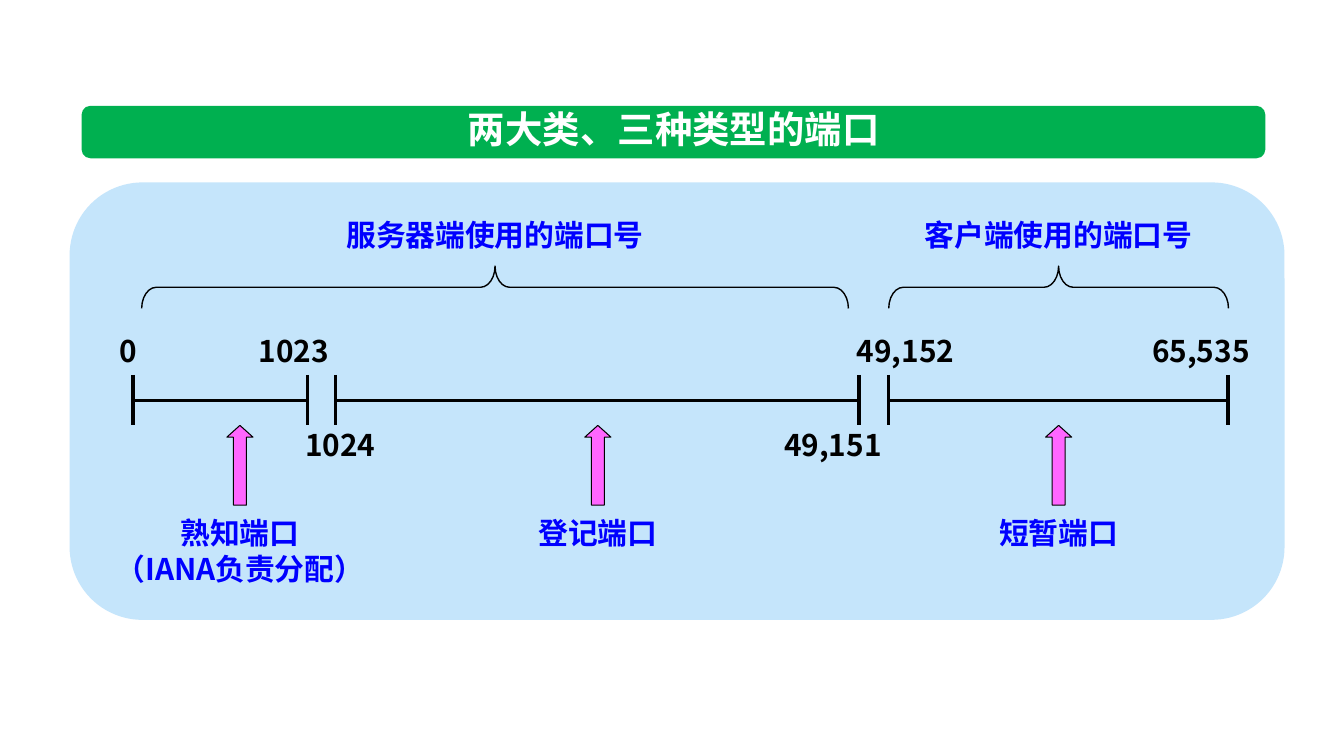
import pptx
import pptx.dml.color
import pptx.enum.shapes
import pptx.enum.text
import pptx.oxml.ns
import pptx.util
from lxml import etree

Inches, Pt = pptx.util.Inches, pptx.util.Pt
RGBColor = pptx.dml.color.RGBColor
SHAPE = pptx.enum.shapes.MSO_SHAPE
ALIGN = pptx.enum.text.PP_ALIGN
qn = pptx.oxml.ns.qn

BLACK = RGBColor(0x00, 0x00, 0x00)
WHITE = RGBColor(0xFF, 0xFF, 0xFF)
BLUE = RGBColor(0x00, 0x00, 0xFF)
GREEN = RGBColor(0x00, 0xB0, 0x50)
PALE_BLUE = RGBColor(0xC5, 0xE5, 0xFB)
PINK = RGBColor(0xFF, 0x66, 0xFF)


class Diagram:
    font = "Noto Sans CJK SC"
    size = 21.3

    def __init__(self, slide):
        self.shapes = slide.shapes

    def shape(self, kind, x, y, w, h, fill=None, line=None, adj=()):
        sp = self.shapes.add_shape(kind, Inches(x), Inches(y), Inches(w), Inches(h))
        sp.shadow.inherit = False
        for i, value in enumerate(adj):
            sp.adjustments[i] = value
        if fill is None:
            sp.fill.background()
        else:
            sp.fill.solid()
            sp.fill.fore_color.rgb = fill
        if line is None:
            sp.line.fill.background()
        else:
            sp.line.color.rgb = BLACK
            sp.line.width = Pt(line)
        return sp

    def text(self, lines, x, y, w, h=0.46, color=BLUE, size=size,
             align=ALIGN.CENTER, wrap=False):
        sp = self.shapes.add_textbox(Inches(x), Inches(y), Inches(w), Inches(h))
        tf = sp.text_frame
        tf.word_wrap = wrap
        tf.auto_size = pptx.enum.text.MSO_AUTO_SIZE.SHAPE_TO_FIT_TEXT
        tf.text = lines
        for p in tf.paragraphs:
            p.alignment = align
            p.font.size = Pt(size)
            p.font.bold = True
            p.font.color.rgb = color
            p.font.name = self.font
            # East Asian glyphs need their own typeface entry
            props = p._p.pPr.find(qn("a:defRPr"))
            etree.SubElement(props, qn("a:ea"), typeface=self.font)

    def line(self, x1, y1, x2, y2):
        cn = self.shapes.add_connector(
            pptx.enum.shapes.MSO_CONNECTOR.STRAIGHT,
            Inches(x1), Inches(y1), Inches(x2), Inches(y2))
        cn.line.color.rgb = BLACK
        cn.line.width = Pt(2.25)
        etree.SubElement(cn._element.spPr, qn("a:effectLst"))

    def port_range(self, x1, x2, y=3.97, tick=0.25):
        self.line(x1, y, x2, y)
        for x in (x1, x2):
            self.line(x, y - tick, x, y + tick)

    def brace(self, center, span, y=2.85, depth=0.42):
        sp = self.shape(SHAPE.RIGHT_BRACE, center - depth / 2, y - span / 2,
                        depth, span, line=1, adj=(0.345, 0.5))
        sp.rotation = 270

    def arrow(self, center):
        self.shape(SHAPE.UP_ARROW, center - 0.13, 4.22, 0.26, 0.79,
                   PINK, 0.75, (0.5, 0.45))


def main():
    prs = pptx.Presentation()
    prs.slide_width, prs.slide_height = Inches(13.33), Inches(7.5)
    d = Diagram(prs.slides.add_slide(prs.slide_layouts[6]))

    # Panel and title bar
    d.shape(SHAPE.ROUNDED_RECTANGLE, 0.69, 1.81, 12.05, 4.34, PALE_BLUE)
    d.shape(SHAPE.ROUNDED_RECTANGLE, 0.81, 1.05, 11.74, 0.52, GREEN, adj=(0.167,))
    d.text("两大类、三种类型的端口", 4.53, 1, 4.31, 0.55, WHITE, 26.7)

    # Number line
    for x1, x2 in ((1.32, 3.05), (3.33, 8.52), (8.81, 12.18)):
        d.port_range(x1, x2)

    # Port numbers, above and below the line
    above, below = 3.25, 4.18
    for number, x, y, w in (
        ("0", 1.09, above, 0.39),
        ("1023", 2.47, above, 0.94),
        ("1024", 2.93, below, 0.94),
        ("49,151", 7.68, below, 1.21),
        ("49,152", 8.4, above, 1.21),
        ("65,535", 11.33, above, 1.21),
    ):
        d.text(number, x, y, w, color=BLACK, align=ALIGN.LEFT)

    # Two classes with braces
    for label, center, w, span in (
        ("服务器端使用的端口号", 4.91, 3.2, 7.01),
        ("客户端使用的端口号", 10.5, 2.9, 3.37),
    ):
        d.text(label, center - w / 2, 2.1, w)
        d.brace(center, span)

    # Three types with arrows
    for label, center, w, h, wrap in (
        ("熟知端口\n（IANA负责分配）", 2.38, 2.8, 0.82, True),
        ("登记端口", 5.93, 1.4, 0.46, False),
        ("短暂端口", 10.5, 1.4, 0.46, False),
    ):
        d.arrow(center)
        d.text(label, center - w / 2, 5.06, w, h, wrap=wrap)

    prs.save("out.pptx")


if __name__ == "__main__":
    main()
